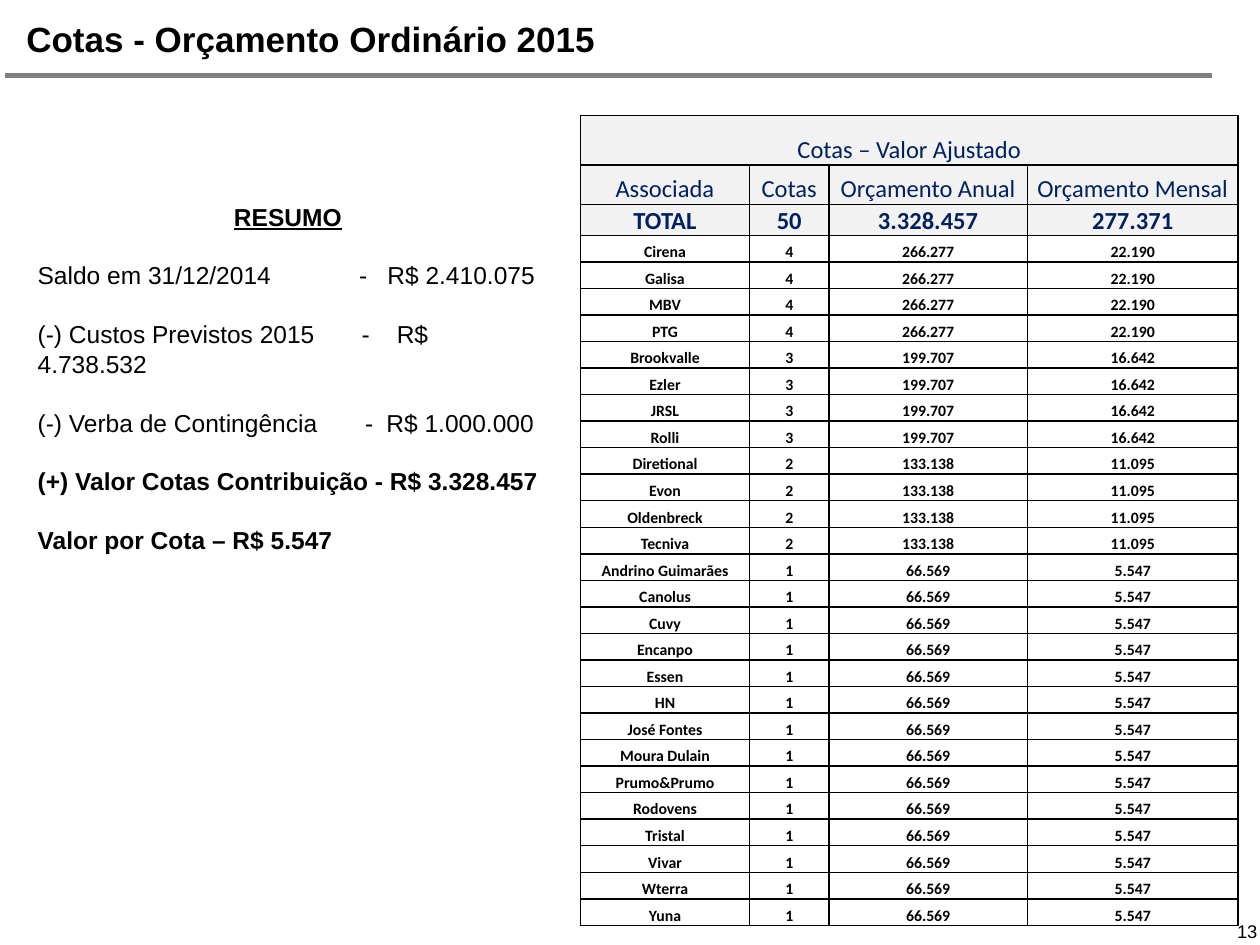
import pptx
import pptx.dml.color
import pptx.enum.shapes
import pptx.enum.text
import pptx.oxml
import pptx.oxml.ns
import pptx.util

Cm, Pt = pptx.util.Cm, pptx.util.Pt
ALIGN = pptx.enum.text.PP_ALIGN
ANCHOR = pptx.enum.text.MSO_ANCHOR
NS = pptx.oxml.ns.nsdecls("a")


def color(code):
    return pptx.dml.color.RGBColor.from_string(code)


def write(para, text, size=14, font="Arial", ink="000000", bold=False,
          underline=False, align=ALIGN.LEFT):
    para.alignment = align
    span = para.add_run()
    span.text = text
    span.font.size = Pt(size)
    span.font.name = font
    span.font.color.rgb = color(ink)
    span.font.bold = bold
    span.font.underline = underline


deck = pptx.Presentation()
deck.slide_width, deck.slide_height = Cm(25.4), Cm(19.05)
page = deck.slides.add_slide(deck.slide_layouts[5])

# Title and rule
title = page.shapes.title
title.left, title.top, title.width, title.height = Cm(0.53), Cm(0.33), Cm(24.16), Cm(0.89)
frame = title.text_frame
frame.margin_left = frame.margin_right = frame.margin_top = frame.margin_bottom = 0
frame.vertical_anchor = ANCHOR.MIDDLE
write(frame.paragraphs[0], "Cotas - Orçamento Ordinário 2015", size=20, bold=True)

rule = page.shapes.add_connector(pptx.enum.shapes.MSO_CONNECTOR.STRAIGHT,
                                 Cm(0.1), Cm(1.52), Cm(24.43), Cm(1.52))
rule.line.color.rgb = color("808080")
rule.line.width = Pt(3.2)
rule._element.spPr.append(pptx.oxml.parse_xml(f"<a:effectLst {NS}/>"))

# Summary: text, tab stops in cm, format
summary = [
    ("RESUMO", (), dict(bold=True, underline=True, align=ALIGN.CENTER)),
    ("Saldo em 31/12/2014\t-\tR$ 2.410.075", (6.48, 7.05), {}),
    ("(-) Custos Previstos 2015\t-\tR$ 4.738.532", (6.53, 7.24), {}),
    ("(-) Verba de Contingência\t-\tR$ 1.000.000", (6.6, 7.03), {}),
    ("(+) Valor Cotas Contribuição - R$ 3.328.457", (), dict(bold=True)),
    ("Valor por Cota – R$ 5.547", (), dict(bold=True)),
]
box = page.shapes.add_textbox(Cm(0.51), Cm(3.94), Cm(10.59), Cm(6.83))
frame = box.text_frame
frame.word_wrap = True
for index, (text, stops, style) in enumerate(summary):
    para = frame.add_paragraph() if index else frame.paragraphs[0]
    para.line_spacing = Pt(16.8)
    if index:
        para.space_before = Pt(16.8)
    if stops:
        tabs = "".join(f'<a:tab pos="{Cm(stop)}" algn="l"/>' for stop in stops)
        para._p.get_or_add_pPr().append(
            pptx.oxml.parse_xml(f"<a:tabLst {NS}>{tabs}</a:tabLst>"))
    write(para, text, **style)

# Quota table: members grouped by number of quotas
groups = [
    ("4", "266.277", "22.190", ["Cirena", "Galisa", "MBV", "PTG"]),
    ("3", "199.707", "16.642", ["Brookvalle", "Ezler", "JRSL", "Rolli"]),
    ("2", "133.138", "11.095", ["Diretional", "Evon", "Oldenbreck", "Tecniva"]),
    ("1", "66.569", "5.547", [
        "Andrino Guimarães", "Canolus", "Cuvy", "Encanpo", "Essen", "HN",
        "José Fontes", "Moura Dulain", "Prumo&Prumo", "Rodovens", "Tristal",
        "Vivar", "Wterra", "Yuna"]),
]
rows = [
    ("Cotas – Valor Ajustado", "", "", ""),
    ("Associada", "Cotas", "Orçamento Anual", "Orçamento Mensal"),
    ("TOTAL", "50", "3.328.457", "277.371"),
]
for quotas, yearly, monthly, members in groups:
    rows += [(member, quotas, yearly, monthly) for member in members]

head_heights = [Cm(1), Cm(0.79), Cm(0.62)]
member_count = len(rows) - len(head_heights)
heights = head_heights + [Cm(13.91) // member_count] * member_count
widths = [Cm(3.41), Cm(1.6), Cm(4), Cm(4.25)]
table = page.shapes.add_table(len(rows), len(widths), Cm(11.7), Cm(2.33),
                              sum(widths), sum(heights)).table
table.first_row = table.horz_banding = False
for column, width in zip(table.columns, widths):
    column.width = width
for row, height in zip(table.rows, heights):
    row.height = height
table.cell(0, 0).merge(table.cell(0, len(widths) - 1))

for r, values in enumerate(rows):
    is_head = r < len(head_heights)
    for c, text in enumerate(values):
        cell = table.cell(r, c)
        cell.margin_left = cell.margin_right = cell.margin_top = Cm(0.03)
        cell.margin_bottom = 0
        cell.vertical_anchor = ANCHOR.BOTTOM
        for side in ("lnL", "lnR", "lnT", "lnB"):
            cell._tc.get_or_add_tcPr().append(pptx.oxml.parse_xml(
                f'<a:{side} {NS} w="{Pt(1)}"><a:solidFill><a:srgbClr val="000000"/>'
                f"</a:solidFill></a:{side}>"))
        if is_head:
            cell.fill.solid()
            cell.fill.fore_color.rgb = color("F2F2F2")
        else:
            cell.fill.background()
        if text:
            write(cell.text_frame.paragraphs[0], text, font="Calibri",
                  size=14 if is_head else 9, ink="002060" if is_head else "000000",
                  bold=r >= 2, align=ALIGN.CENTER)

# Page number
number = page.shapes.add_textbox(Cm(24.69), Cm(18.42), Cm(1.3), Cm(0.71))
number.text_frame.word_wrap = True
write(number.text_frame.paragraphs[0], "13", size=10.5)

deck.save("out.pptx")
